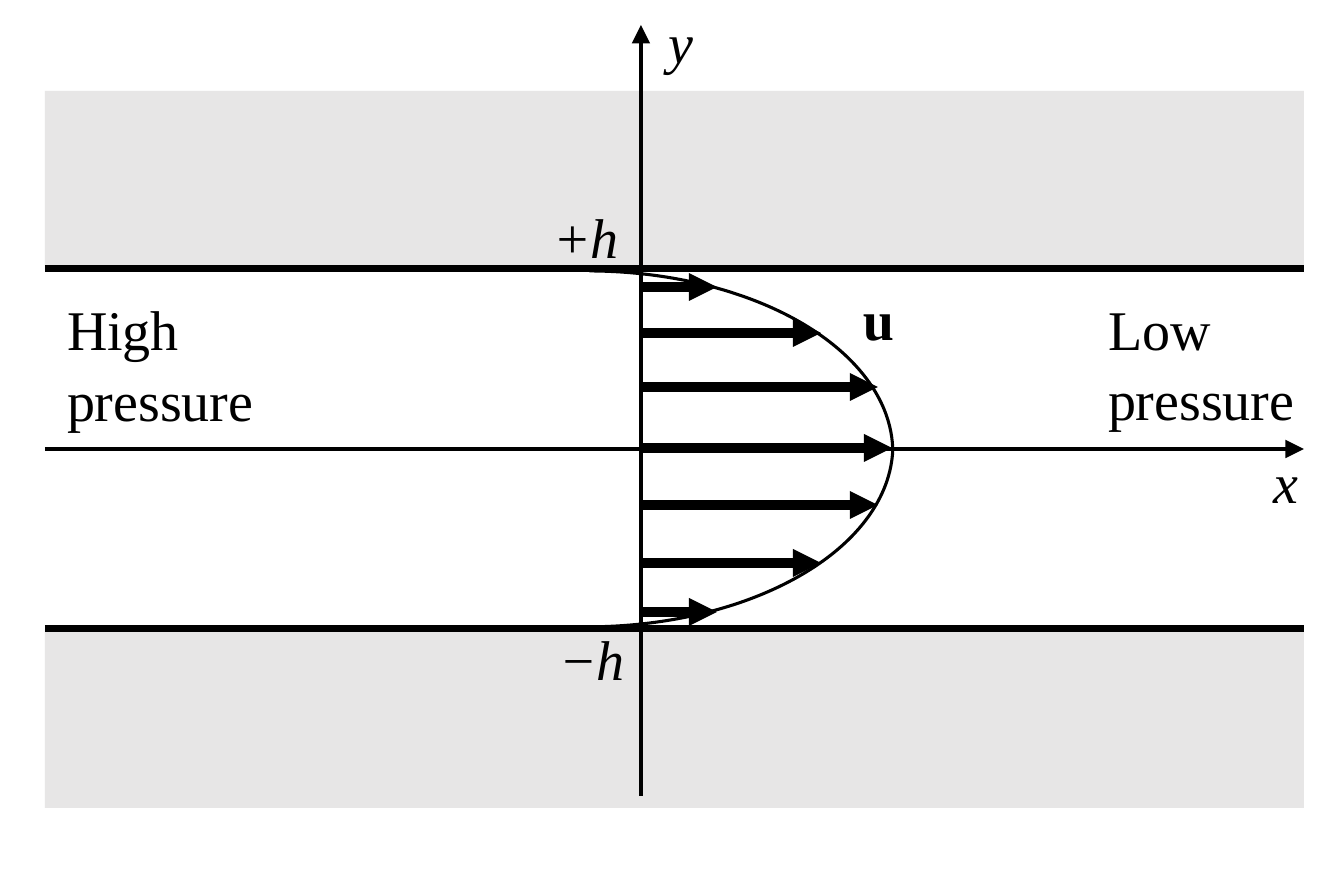
import pptx
import pptx.util
import pptx.dml.color
import pptx.enum.shapes
import pptx.enum.text
import pptx.oxml.ns
import lxml.etree

COLORS = {"paper": "FFFFFF", "wall": "E7E6E6", "ink": "000000"}
FONT = "Times New Roman"
PIXEL = 914400 // 224

# Channel geometry, in pixels
LEFT, RIGHT = 45, 1304
AXIS_X, AXIS_Y = 641, 449
WALL_HEIGHT = 179
WALLS = [(91, 269), (629, 629)]  # top of wall, edge that meets the fluid
Y_AXIS = (796, 25)

# Velocity profile: arrow height and tip, then arc top and angles
ARROWS = [(287, 717), (333, 821), (387, 878), (448, 892),
          (505, 878), (563, 821), (612, 717)]
ARC_LEFT, ARC_WIDTH, ARC_HEIGHT = 282, 611, 363
ARCS = [(271, 162.4, 215.59), (264, 0.41, 53.6)]

# Text, left, top, width, height, format
LABELS = [
    ("y", 647, -4, 69, 90, {"italic": True, "align": "RIGHT"}),
    ("x", 1252, 436, 69, 90, {"italic": True, "align": "RIGHT"}),
    ("+h", 529, 191, 112, 90, {"italic": True, "align": "RIGHT"}),
    ("−h", 535, 614, 112, 90, {"italic": True, "align": "RIGHT"}),
    ("High\npressure", 45, 284, 235, 159, {}),
    ("Low\npressure", 1086, 283, 235, 159, {}),
    ("u", 840, 273, 76, 90, {"bold": True, "align": "RIGHT"}),
]

presentation = pptx.Presentation()
presentation.slide_width = pptx.util.Inches(6)
presentation.slide_height = pptx.util.Inches(4)
slide = presentation.slides.add_slide(presentation.slide_layouts[6])


def color(name):
    return pptx.dml.color.RGBColor.from_string(COLORS[name])


def scaled(*pixels):
    return [pixel * PIXEL for pixel in pixels]


def add_line(x1, y1, x2, y2, width, arrow=False):
    connector = slide.shapes.add_connector(
        pptx.enum.shapes.MSO_CONNECTOR.STRAIGHT, *scaled(x1, y1, x2, y2))
    connector.line.color.rgb = color("ink")
    connector.line.width = pptx.util.Pt(width)
    if arrow:
        lxml.etree.SubElement(connector.line._get_or_add_ln(),
                              pptx.oxml.ns.qn("a:tailEnd"), type="triangle")
    lxml.etree.SubElement(connector._element.spPr, pptx.oxml.ns.qn("a:effectLst"))


def add_shape(kind, left, top, width, height):
    shape = slide.shapes.add_shape(kind, *scaled(left, top, width, height))
    shape.shadow.inherit = False
    return shape


def add_text(text, left, top, width, height, align="LEFT", bold=False, italic=False):
    box = slide.shapes.add_textbox(*scaled(left, top, width, height))
    frame = box.text_frame
    frame.word_wrap = False
    frame.text = text
    for index, paragraph in enumerate(frame.paragraphs):
        paragraph.alignment = getattr(pptx.enum.text.PP_ALIGN, align)
        paragraph.space_before = pptx.util.Pt(1.2 if index else 0)
        font = paragraph.runs[0].font
        font.name, font.size = FONT, pptx.util.Pt(18)
        font.bold, font.italic = bold, italic
        font.color.rgb = color("ink")


slide.background.fill.solid()
slide.background.fill.fore_color.rgb = color("paper")

# Channel walls
for wall_top, edge in WALLS:
    wall = add_shape(pptx.enum.shapes.MSO_SHAPE.RECTANGLE,
                     LEFT, wall_top, RIGHT - LEFT, WALL_HEIGHT)
    wall.fill.solid()
    wall.fill.fore_color.rgb = color("wall")
    wall.line.fill.background()
    add_line(LEFT, edge, RIGHT, edge, 2.25)

# Axes
add_line(AXIS_X, Y_AXIS[0], AXIS_X, Y_AXIS[1], 1, arrow=True)
add_line(LEFT, AXIS_Y, RIGHT, AXIS_Y, 1, arrow=True)

# Velocity profile
for height, tip in ARROWS:
    add_line(AXIS_X, height, tip, height, 3, arrow=True)
for arc_top, start, end in ARCS:
    arc = add_shape(pptx.enum.shapes.MSO_SHAPE.ARC,
                    ARC_LEFT, arc_top, ARC_WIDTH, ARC_HEIGHT)
    arc.adjustments[0], arc.adjustments[1] = start, end
    arc.fill.background()
    arc.line.color.rgb = color("ink")
    arc.line.width = pptx.util.Pt(1)

# Labels
for text, left, top, width, height, style in LABELS:
    add_text(text, left, top, width, height, **style)

presentation.save("out.pptx")
